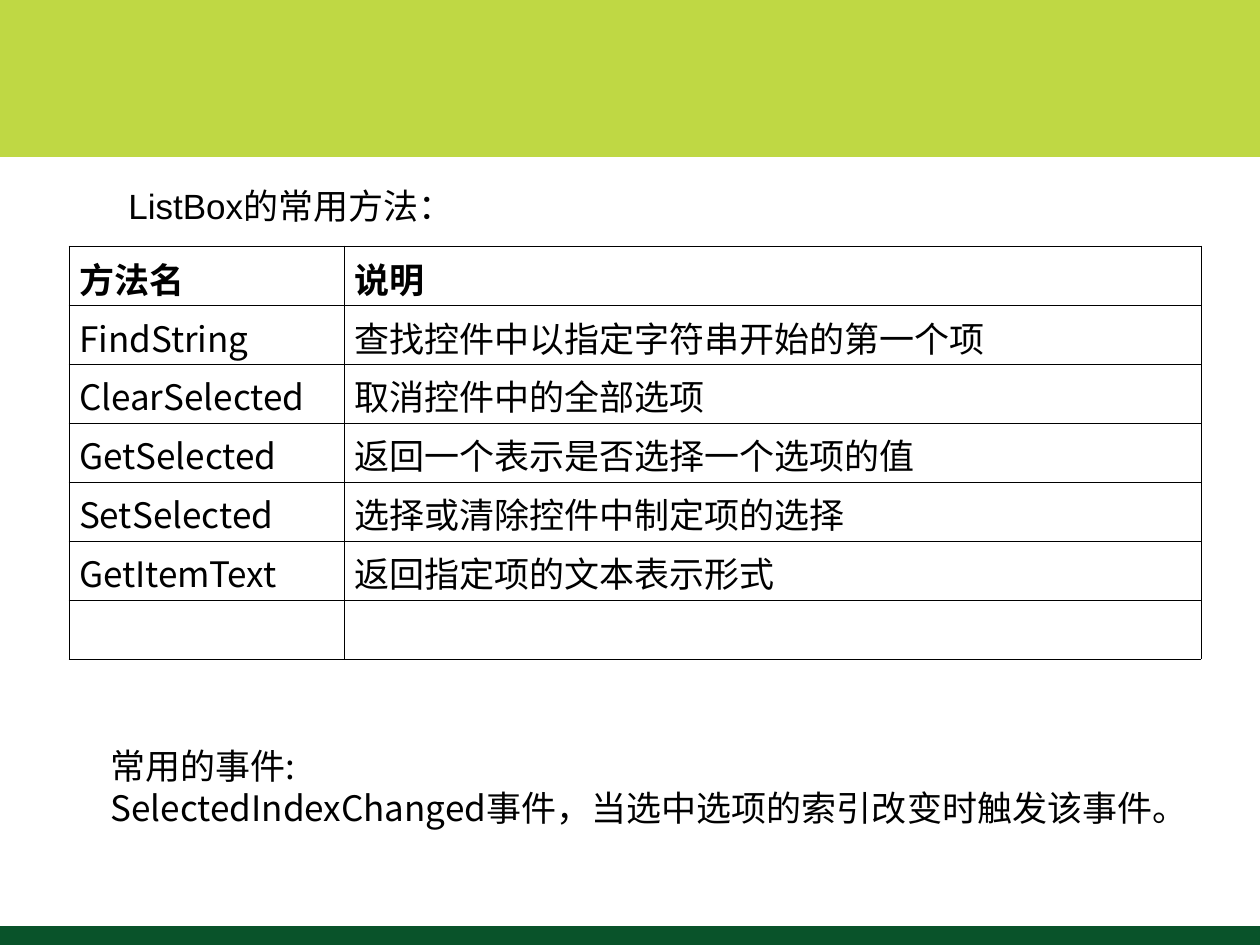
import pptx
import pptx.util
import pptx.dml.color
import pptx.oxml
import pptx.oxml.ns
import pptx.enum.shapes
import pptx.enum.text

PX = 914400 // 126
SANS = "Noto Sans CJK SC"
BANDS = [((0, 0, 1260, 157), "BFD844"), ((0, 926, 1260, 19), "09532A")]
TITLE = ["ListBox的常用方法："]
EVENTS = ["常用的事件:", "SelectedIndexChanged事件，当选中选项的索引改变时触发该事件。"]
METHODS = [
    ("方法名", "说明"),
    ("FindString", "查找控件中以指定字符串开始的第一个项"),
    ("ClearSelected", "取消控件中的全部选项"),
    ("GetSelected", "返回一个表示是否选择一个选项的值"),
    ("SetSelected", "选择或清除控件中制定项的选择"),
    ("GetItemText", "返回指定项的文本表示形式"),
    ("", ""),
]
COLS = [275, 857]
ROW = 59


def px(*nums):
    return [pptx.util.Emu(n * PX) for n in nums]


def color(code):
    return pptx.dml.color.RGBColor.from_string(code)


def style(para, face, bold=False):
    """Set the font for Latin and Chinese letters alike."""
    font = para.font
    font.size = pptx.util.Pt(20)
    font.bold = bold
    font.name = face
    font.color.rgb = color("000000")
    ns = pptx.oxml.ns.nsdecls("a")
    east = pptx.oxml.parse_xml(f'<a:ea {ns} typeface="{SANS}"/>')
    para._p.pPr.find(pptx.oxml.ns.qn("a:defRPr")).append(east)


def add_band(slide, box, fill):
    band = slide.shapes.add_shape(pptx.enum.shapes.MSO_SHAPE.RECTANGLE, *px(*box))
    band.shadow.inherit = False
    band.fill.solid()
    band.fill.fore_color.rgb = color(fill)
    band.line.fill.background()


def add_text(slide, box, lines, face, wrap):
    frame = slide.shapes.add_textbox(*px(*box)).text_frame
    frame.word_wrap = wrap
    frame.text = "\n".join(lines)
    for para in frame.paragraphs:
        style(para, face)


def add_edges(cell):
    ns = pptx.oxml.ns.nsdecls("a")
    props = cell._tc.get_or_add_tcPr()
    for at, side in enumerate("LRTB"):
        props.insert(at, pptx.oxml.parse_xml(
            f'<a:ln{side} {ns} w="5715"><a:solidFill><a:srgbClr val="000000"/>'
            f'</a:solidFill></a:ln{side}>'))


def add_grid(slide, left, top):
    box = px(left, top, sum(COLS), ROW * len(METHODS))
    table = slide.shapes.add_table(len(METHODS), len(COLS), *box).table
    table.horz_banding = False
    for col, width in zip(table.columns, COLS):
        col.width = px(width)[0]
    for r, words in enumerate(METHODS):
        table.rows[r].height = px(ROW)[0]
        for c, word in enumerate(words):
            cell = table.cell(r, c)
            cell.text = word
            cell.margin_left = cell.margin_right = pptx.util.Inches(0.08)
            cell.vertical_anchor = pptx.enum.text.MSO_ANCHOR.MIDDLE
            cell.fill.background()
            add_edges(cell)
            para = cell.text_frame.paragraphs[0]
            para.alignment = pptx.enum.text.PP_ALIGN.JUSTIFY
            style(para, SANS, bold=r == 0)


def main():
    deck = pptx.Presentation()
    deck.slide_width, deck.slide_height = px(1260, 945)
    slide = deck.slides.add_slide(deck.slide_layouts[6])
    for box, fill in BANDS:
        add_band(slide, box, fill)
    add_text(slide, (116, 178, 359, 55), TITLE, "Arial", False)
    add_grid(slide, 69, 246)
    add_text(slide, (98, 738, 1092, 97), EVENTS, SANS, True)
    deck.save("out.pptx")


if __name__ == "__main__":
    main()
